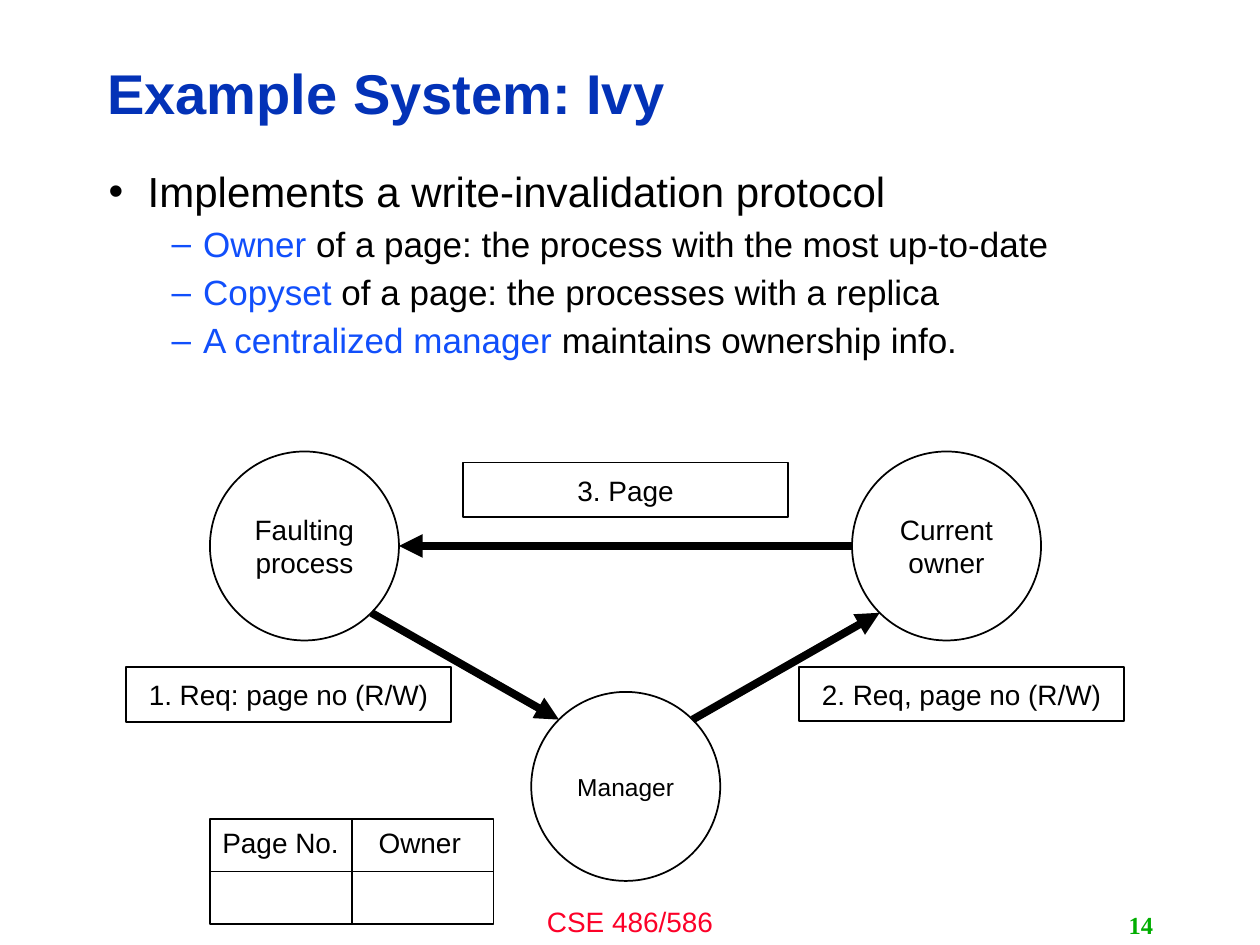
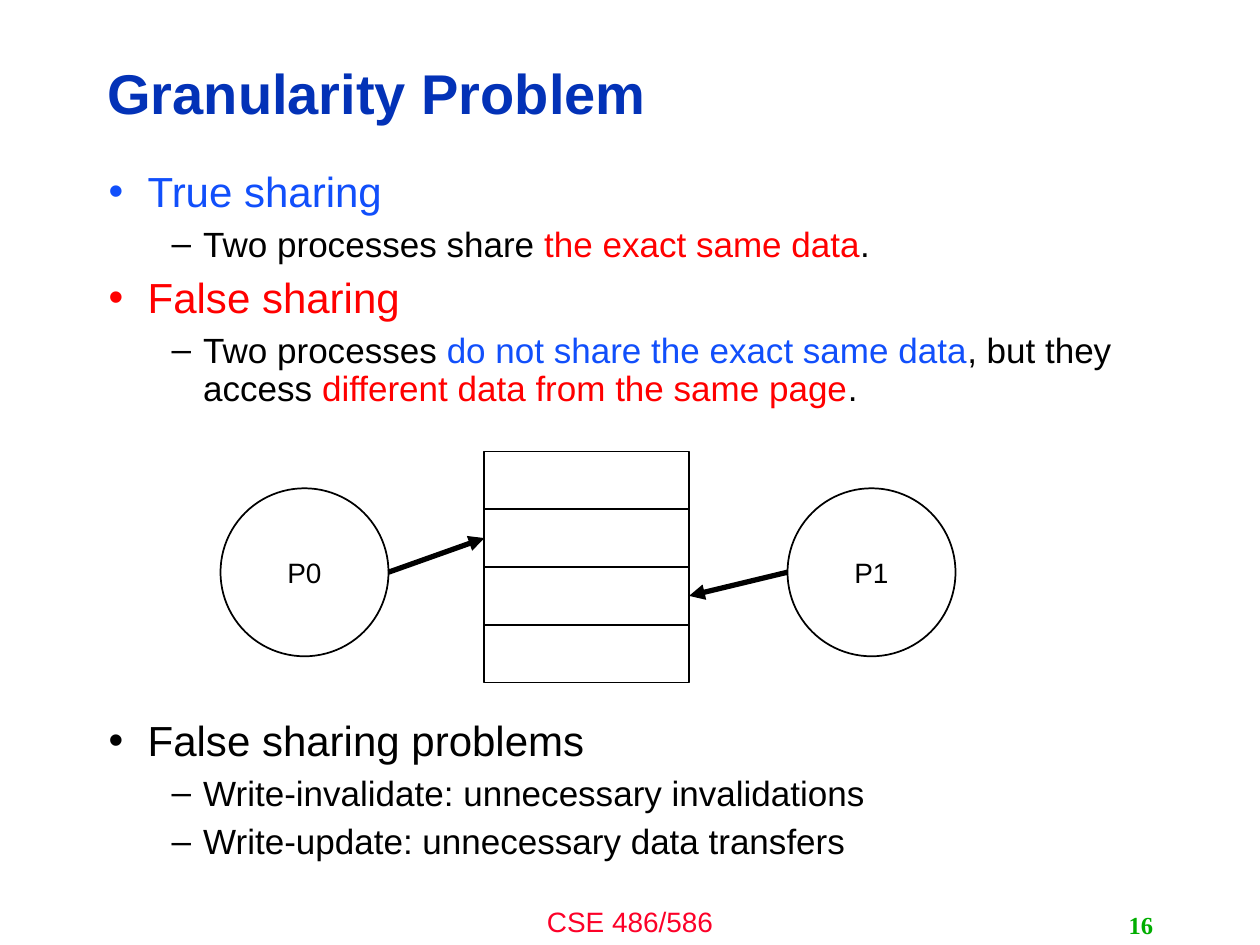
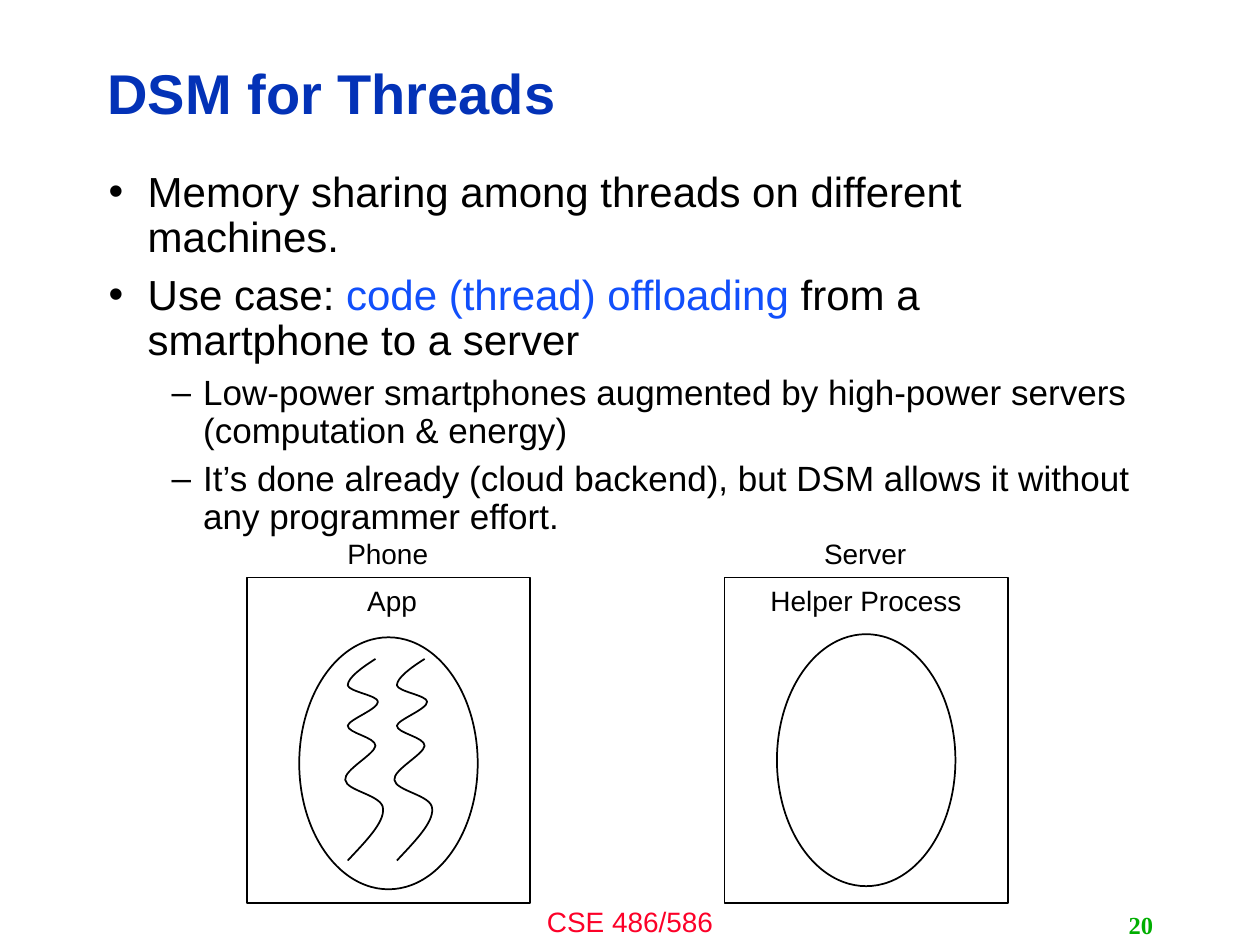
"""Build three lecture slides on distributed shared memory."""
from math import sqrt

from lxml import etree
from pptx import Presentation
from pptx import util as u
from pptx.dml.color import RGBColor
from pptx.enum import shapes, text
from pptx.oxml.ns import qn

BLACK, WHITE, BLUE, RED = "000000", "FFFFFF", "114FFB", "FF0000"
TITLE_BLUE, FOOTER_RED, NUMBER_GREEN = "0332B7", "FC0128", "00AE00"
CELL = u.Inches(1) / 12
OVAL, RECT = shapes.MSO_SHAPE.OVAL, shapes.MSO_SHAPE.RECTANGLE
CENTER, LEFT, RIGHT = text.PP_ALIGN.CENTER, text.PP_ALIGN.LEFT, text.PP_ALIGN.RIGHT
MIDDLE, TOP = text.MSO_ANCHOR.MIDDLE, text.MSO_ANCHOR.TOP
color = RGBColor.from_string


def add_box(page, kind, area, label="", size=16, ink=BLACK, align=CENTER,
            anchor=MIDDLE, face="Arial", bold=False, fill=WHITE):
    """Add a shape, or a text box if kind is None; area is in grid cells."""
    place = [round(cells * CELL) for cells in area]
    if kind is None:
        box = page.shapes.add_textbox(*place)
    else:
        box = page.shapes.add_shape(kind, *place)
        box.shadow.inherit = False
        box.line.color.rgb = color(BLACK)
        box.line.width = u.Pt(1)
        if fill:
            box.fill.solid()
            box.fill.fore_color.rgb = color(fill)
        else:
            box.fill.background()
    frame = box.text_frame
    frame.word_wrap = True
    frame.vertical_anchor = anchor
    para = frame.paragraphs[0]
    para.alignment = align
    if label:
        para.text = label
        para.font.name, para.font.size, para.font.bold = face, u.Pt(size), bold
        para.font.color.rgb = color(ink)
    return box


def add_line(page, start, end, width, head=True):
    """Add a straight line, with an arrowhead or not, between two grid points."""
    ends = [round(cells * CELL) for cells in (*start, *end)]
    line = page.shapes.add_connector(shapes.MSO_CONNECTOR.STRAIGHT, *ends)
    line.line.color.rgb = color(BLACK)
    line.line.width = u.Pt(width)
    if head:
        etree.SubElement(line.line._get_or_add_ln(), qn("a:tailEnd"), type="triangle")
    etree.SubElement(line._element.spPr, qn("a:effectLst"))
    return line


LEVELS = [("•", 24, 0.31, -0.31), ("–", 20, 0.75, -0.25)]
DIAGRAM_GAP = 178
SLIDES = [
    ("14", "Example System: Ivy", 64.7, [
        (0, [("Implements a write-invalidation protocol", BLACK)]),
        (1, [("Owner", BLUE), (" of a page: the process with the most up-to-date", BLACK)]),
        (1, [("Copyset", BLUE), (" of a page: the processes with a replica", BLACK)]),
        (1, [("A centralized manager", BLUE), (" maintains ownership info.", BLACK)]),
    ]),
    ("16", "Granularity Problem", 70.6, [
        (0, [("True sharing", BLUE)]),
        (1, [("Two processes share ", BLACK), ("the exact same data", RED), (".", BLACK)]),
        (0, [("False sharing", RED)]),
        (1, [("Two processes ", BLACK), ("do not share the exact same data", BLUE),
             (", but they access ", BLACK), ("different data from the same page", RED),
             (".", BLACK)]),
        (0, [("False sharing problems", BLACK)], DIAGRAM_GAP),
        (1, [("Write-invalidate: unnecessary invalidations", BLACK)]),
        (1, [("Write-update: unnecessary data transfers", BLACK)]),
    ]),
    ("20", "DSM for Threads", 64.7, [
        (0, [("Memory sharing among threads on different machines.", BLACK)]),
        (0, [("Use case: ", BLACK), ("code (thread) offloading", BLUE),
             (" from a smartphone to a server", BLACK)]),
        (1, [("Low-power smartphones augmented by high-power servers "
              "(computation & energy)", BLACK)]),
        (1, [("It’s done already (cloud backend), but DSM allows it without "
              "any programmer effort.", BLACK)]),
    ]),
]

deck = Presentation()
deck.slide_width, deck.slide_height = u.Inches(10), u.Inches(7.5)
pages = []
for number, title, body_height, lines in SLIDES:
    page = deck.slides.add_slide(deck.slide_layouts[6])
    pages.append(page)
    add_box(page, None, (40, 85.6, 40, 4.4), "CSE 486/586", ink=FOOTER_RED, anchor=TOP)
    heading = add_box(page, None, (9.05, 4.3, 95.8, 9.7), title, 32, TITLE_BLUE, LEFT, bold=True)
    heading.text_frame.paragraphs[0].line_spacing = 0.9
    body = add_box(page, None, (9.17, 15.7, 100.8, body_height), align=LEFT, anchor=TOP)
    for index, (level, spans, *gap) in enumerate(lines):
        bullet, size, margin, indent = LEVELS[level]
        frame = body.text_frame
        para = frame.add_paragraph() if index else frame.paragraphs[0]
        para.level = level
        properties = para._p.get_or_add_pPr()
        properties.set("marL", str(u.Inches(margin)))
        properties.set("indent", str(u.Inches(indent)))
        etree.SubElement(properties, qn("a:buFont"), typeface="Arial")
        etree.SubElement(properties, qn("a:buChar"), char=bullet)
        para.line_spacing = 0.9
        para.space_before = u.Pt(gap[0] if gap else 0.3 * size if index else 0)
        para.font.name, para.font.size = "Arial", u.Pt(size)
        for words, ink in spans:
            span = para.add_run()
            span.text = words
            span.font.color.rgb = color(ink)
    add_box(page, None, (86, 86.2, 25, 3.8), number, 14, NUMBER_GREEN, RIGHT,
            face="Times New Roman", bold=True)

ivy, granularity, threads = pages

radius = 9
diagonal = radius / sqrt(2)
faulting, owner, manager = (29, 52), (90.15, 52), (59.6, 74.9)
for (x, y), label, size in [(faulting, "Faulting process", 16),
                            (owner, "Current owner", 16), (manager, "Manager", 14)]:
    add_box(ivy, OVAL, (x - radius, y - radius, 2 * radius, 2 * radius), label, size)
for start, end in [
    ((faulting[0] + diagonal, faulting[1] + diagonal),
     (manager[0] - diagonal, manager[1] - diagonal)),
    ((manager[0] + diagonal, manager[1] - diagonal),
     (owner[0] - diagonal, owner[1] + diagonal)),
    ((owner[0] - radius, owner[1]), (faulting[0] + radius, faulting[1])),
]:
    add_line(ivy, start, end, 4.5)
for left, top, label in [(12, 63.55, "1. Req: page no (R/W)"),
                         (76.1, 63.5, "2. Req, page no (R/W)"), (44.1, 44.05, "3. Page")]:
    add_box(ivy, RECT, (left, top, 30.95, 5.2), label)

owners = add_box(ivy, RECT, (20, 78, 27, 10), "Page No.\tOwner", align=LEFT, anchor=TOP)
properties = owners.text_frame.paragraphs[0]._p.get_or_add_pPr()
tabs = etree.Element(qn("a:tabLst"))
etree.SubElement(tabs, qn("a:tab"), pos=str(u.Inches(1.24)), algn="l")
properties.insert(0, tabs)
add_line(ivy, (20, 83), (47, 83), 1, head=False)
add_line(ivy, (33.5, 78), (33.5, 88), 1, head=False)

for left, label in [(21, "P0"), (75, "P1")]:
    add_box(granularity, OVAL, (left, 46.5, 16, 16), label)
memory = [add_box(granularity, RECT, (46.13, 43 + 5.5 * row, 19.5, 5.5)) for row in range(4)]
for start, end, row, side in [((37, 54.5), (46.13, 51.25), 1, 1),
                              ((75, 54.5), (65.63, 56.75), 2, 3)]:
    add_line(granularity, start, end, 3).end_connect(memory[row], side)

for left, oval_top in [(69, 60.4), (23.5, 60.7)]:
    add_box(threads, RECT, (left, 55, 27, 31), fill=None)
    add_box(threads, OVAL, (left + 5, oval_top, 17, 24))
for left, top, width, label in [(31.9, 50.5, 10.2, "Phone"), (77.3, 50.5, 10.3, "Server"),
                                (33.8, 55, 7.2, "App"), (72.2, 55, 20.8, "Helper Process")]:
    caption = add_box(threads, None, (left, top, width, 4.4), label, align=LEFT, anchor=TOP)
    caption.text_frame.word_wrap = False

thread_curve = [
    (2.76, 6.83), (2.9, 6.68), (3.05, 6.53), (3.04, 6.42), (3.04, 6.31), (2.75, 6.28),
    (2.74, 6.19), (2.73, 6.11), (2.97, 5.99), (2.98, 5.92), (2.98, 5.85), (2.76, 5.82),
    (2.76, 5.76), (2.77, 5.71), (3, 5.63), (3, 5.57), (3, 5.52), (2.77, 5.49),
    (2.76, 5.44), (2.76, 5.38), (2.87, 5.3), (2.98, 5.23)]
for shift in (0, 0.39):
    points = [(u.Inches(x + shift), u.Inches(y)) for x, y in thread_curve]
    outline = threads.shapes.build_freeform(*points[0])
    outline.add_line_segments(points[1:], close=False)
    thread = outline.convert_to_shape()
    segments = list(thread._element.iter(qn("a:lnTo")))
    for first in range(0, len(segments), 3):
        curve = etree.Element(qn("a:cubicBezTo"))
        segments[first].addprevious(curve)
        for segment in segments[first:first + 3]:
            curve.append(segment[0])
            segment.getparent().remove(segment)
    thread.shadow.inherit = False
    thread.fill.background()
    thread.line.color.rgb = color(BLACK)
    thread.line.width = u.Pt(1)

deck.save("out.pptx")
